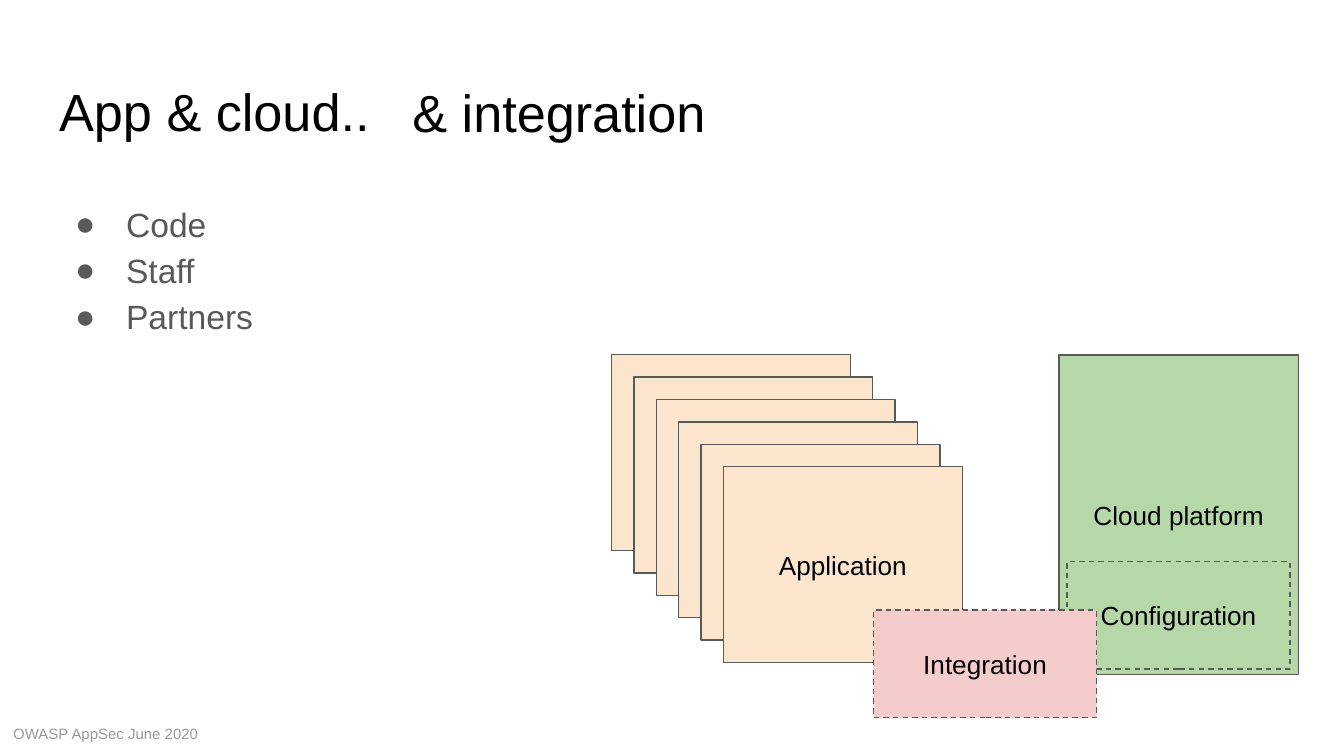
from lxml import etree
from pptx import Presentation
from pptx import util as u
from pptx.dml.color import RGBColor
from pptx.enum import dml, shapes, text
from pptx.oxml.ns import qn

COLS, ROWS = 100, 56.25
W, H = u.Inches(10), u.Inches(5.625)
GREY, BLACK, GREEN, PEACH, PINK = "595959", "000000", "B6D7A8", "FCE5CD", "F4CCCC"


def rgb(value):
    """Turn a hex string into a colour."""
    return RGBColor.from_string(value)


def place(box):
    """Turn a box in grid columns and rows into slide lengths."""
    x, y, w, h = box
    return [int(v) for v in (x * W / COLS, y * H / ROWS, w * W / COLS, h * H / ROWS)]


def write(sp, lines, size, color, align=text.PP_ALIGN.LEFT, anchor=text.MSO_ANCHOR.TOP):
    """Fill a shape with one run per line and return the paragraphs."""
    tf = sp.text_frame
    tf.word_wrap = True
    tf.auto_size = text.MSO_AUTO_SIZE.NONE
    tf.vertical_anchor = anchor
    tf.margin_left = tf.margin_right = tf.margin_top = tf.margin_bottom = u.Inches(0.1)
    for i, line in enumerate(lines):
        p = tf.add_paragraph() if i else tf.paragraphs[0]
        p.alignment = align
        r = p.add_run()
        r.text = line
        r.font.name = "Arial"
        r.font.size = u.Pt(size)
        r.font.color.rgb = rgb(color)
    return tf.paragraphs


def add_text(s, box, lines, size, color):
    """Add a text box."""
    return write(s.shapes.add_textbox(*place(box)), lines, size, color)


def add_block(parent, box, fill, label=None, dashed=False, alpha=None):
    """Add an outlined rectangle with an optional centred label."""
    sp = parent.shapes.add_shape(shapes.MSO_SHAPE.RECTANGLE, *place(box))
    sp.shadow.inherit = False
    sp.fill.solid()
    sp.fill.fore_color.rgb = rgb(fill)
    sp.line.color.rgb = rgb(GREY)
    sp.line.width = u.Pt(0.75)
    if dashed:
        sp.line.dash_style = dml.MSO_LINE.DASH
    if alpha:
        color = sp.fill._xPr.find(".//" + qn("a:srgbClr"))
        etree.SubElement(color, qn("a:alpha"), val=str(alpha * 1000))
    if label:
        write(sp, [label], 14, BLACK, text.PP_ALIGN.CENTER, text.MSO_ANCHOR.MIDDLE)


def add_heading(s, box):
    """Fill the title placeholder and add the phrase that follows it."""
    x, y, w, h = box
    title = s.shapes.title
    title.left, title.top, title.width, title.height = place(box)
    write(title, ["App & cloud.."], 28, BLACK)
    add_text(s, (x + 26.3, y + 0.1, 28.1, 7.7), ["& integration"], 28, BLACK)


def add_bullets(s, box, lines):
    """Add a bulleted list."""
    for p in add_text(s, box, lines, 18, GREY):
        p.line_spacing = 1.15
        pPr = p._p.get_or_add_pPr()
        pPr.set("marL", str(u.Inches(0.5)))
        pPr.set("indent", str(u.Inches(-0.38)))
        color = etree.SubElement(pPr, qn("a:buClr"))
        etree.SubElement(color, qn("a:srgbClr"), val=GREY)
        etree.SubElement(pPr, qn("a:buFont"), typeface="Arial")
        etree.SubElement(pPr, qn("a:buChar"), char="●")


def add_applications(s, box, count=6):
    """Stack application cards along the diagonal, the front one labelled."""
    x, y, w, h = box
    step = 5 / 3
    card_w, card_h = w - step * (count - 1), h - step * (count - 1)
    group = s.shapes.add_group_shape()
    for i in range(count):
        front = i == count - 1
        add_block(s if front else group, (x + i * step, y + i * step, card_w, card_h),
                  PEACH, "Application" if front else None)


def add_cloud(s, box):
    """Add the cloud platform with its configuration along the bottom."""
    x, y, w, h = box
    add_block(s, box, GREEN, "Cloud platform")
    add_block(s, (x + 0.6, y + h - 8.4, w - 1.2, 8), GREEN, "Configuration", True, 62)


def main():
    """Build and save the slide."""
    prs = Presentation()
    prs.slide_width, prs.slide_height = W, H
    s = prs.slides.add_slide(prs.slide_layouts[5])
    add_text(s, (0, 52.9, 43.8, 3.8), ["OWASP AppSec June 2020"], 8, "999999")
    add_heading(s, (3.4, 4.9, 93.2, 6.3))
    add_bullets(s, (3.4, 13.7, 31.3, 37.4), ["Code", "Staff", "Partners"])
    add_applications(s, (45.5, 26.4, 26.1, 22.9))
    add_cloud(s, (78.8, 26.4, 17.8, 23.8))
    add_block(s, (65, 45.4, 16.6, 8), PINK, "Integration", True)
    prs.save("out.pptx")


if __name__ == "__main__":
    main()
